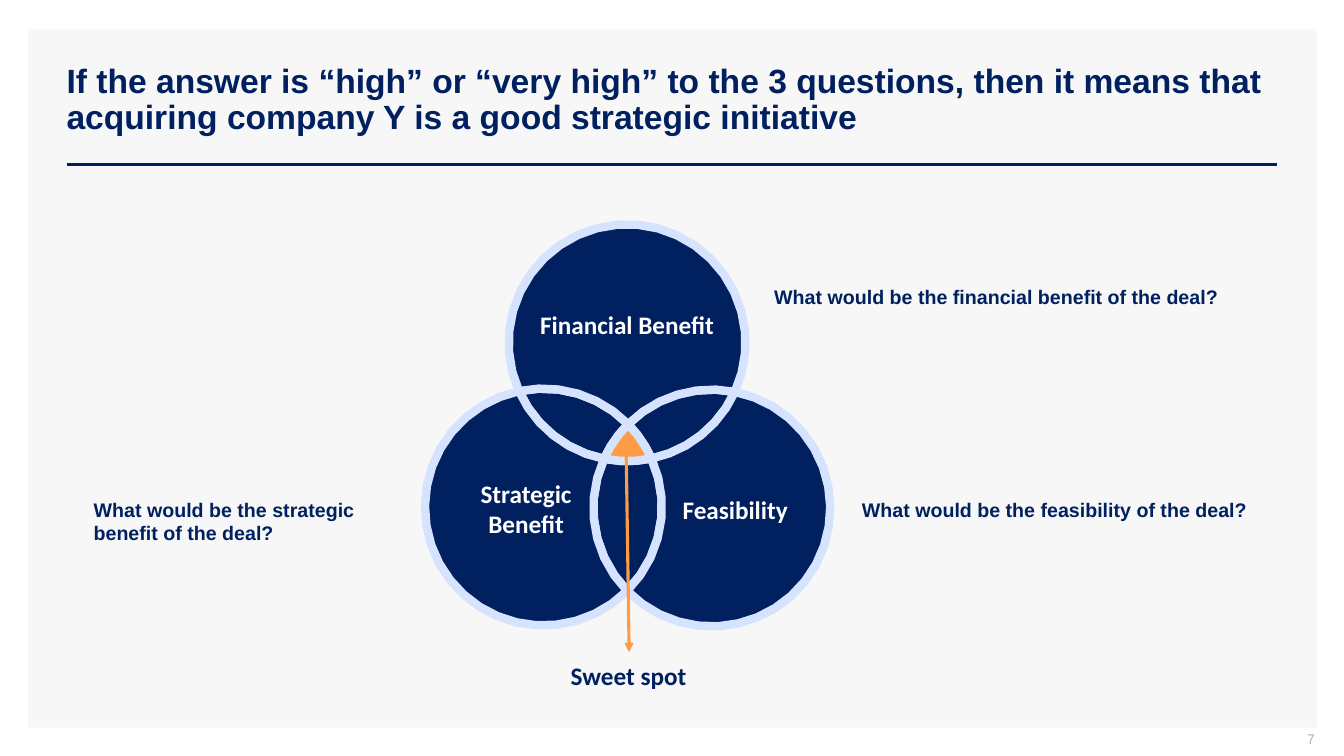
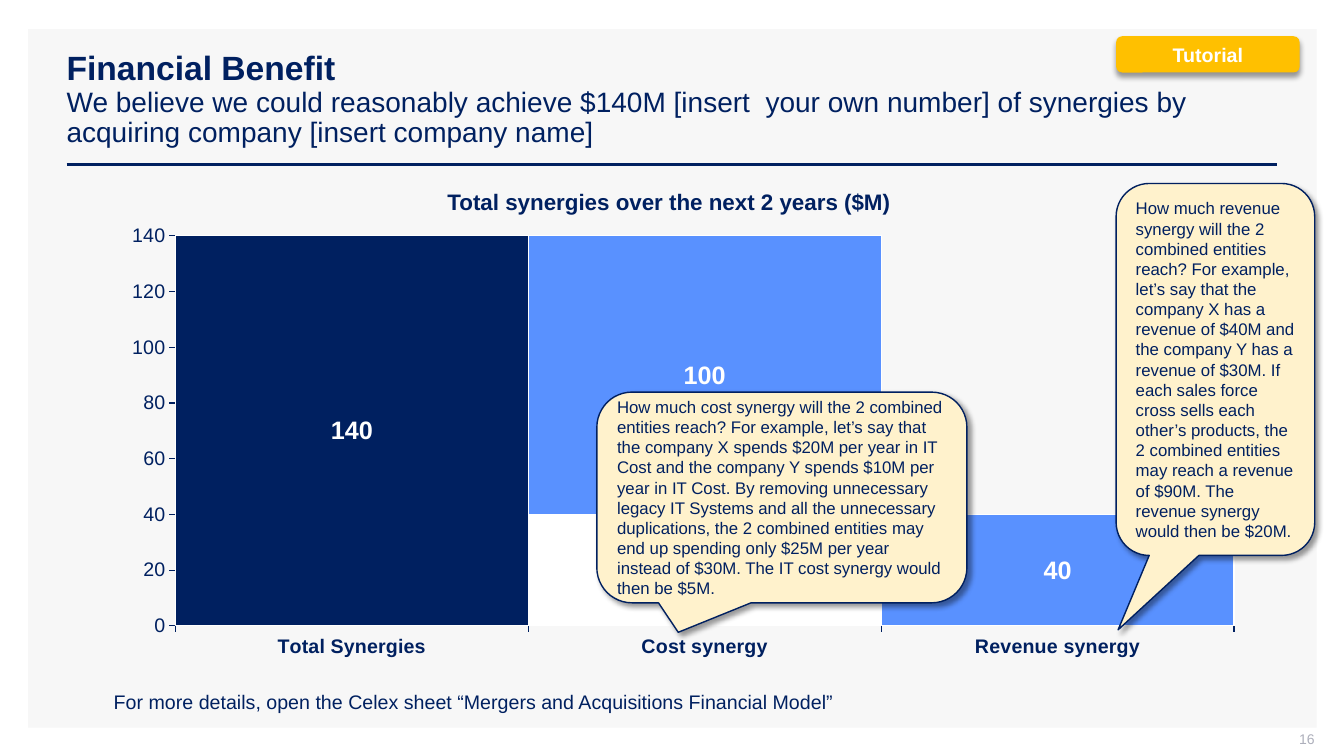
from itertools import count
from math import atan2, ceil, cos, hypot, pi, sin, sqrt

from lxml.etree import SubElement
from pptx import Presentation
from pptx.chart.data import CategoryChartData
from pptx.dml.color import RGBColor
from pptx.enum.chart import XL_CHART_TYPE as ChartType
from pptx.enum.chart import XL_LABEL_POSITION as LabelPos
from pptx.enum.chart import XL_TICK_MARK as Tick
from pptx.enum.shapes import MSO_CONNECTOR as Connector
from pptx.enum.shapes import MSO_SHAPE as Shape
from pptx.enum.text import MSO_ANCHOR as Anchor
from pptx.enum.text import MSO_AUTO_SIZE as AutoSize
from pptx.enum.text import PP_ALIGN as Align
from pptx.oxml.ns import qn
from pptx.util import Pt

PX = 9144  # EMU; 100 px to the inch
NAVY = RGBColor(0x00, 0x20, 0x60)
BLUE = RGBColor(0x59, 0x91, 0xFF)
PALE_BLUE = RGBColor(0xD6, 0xE3, 0xFF)
ORANGE = RGBColor(0xFF, 0x9B, 0x45)
AMBER = RGBColor(0xFF, 0xC0, 0x00)
CREAM = RGBColor(0xFF, 0xF2, 0xCC)
PANEL = RGBColor(0xF7, 0xF7, 0xF7)
EDGE = RGBColor(0xF2, 0xF2, 0xF2)
GREY = RGBColor(0xAD, 0xAF, 0xBB)
WHITE = RGBColor(0xFF, 0xFF, 0xFF)

# ---- Content: boxes are left, top, width, height in px ----
VENN_TITLE = [
    "If the answer is “high” or “very high” to the 3 questions, then it means "
    "that acquiring company Y is a good strategic initiative"
]
QUESTIONS = [
    ("What would be the financial benefit of the deal?", (758, 278, 468, 34)),
    ("What would be the feasibility of the deal?", (845, 489, 426, 34)),
    ("What would be the strategic benefit of the deal?", (83, 489, 331, 57)),
]
SWEET_SPOT = ("Sweet spot", (527, 655, 193, 31))
SWEET_ARROW = (621, 443, 624, 647)

DIAMETER = 235
CENTRES = {"financial": (622, 340), "strategic": (539, 503), "feasible": (706, 504)}
# Each region is a chain of arcs: circle, first corner, last corner, turn (1 clockwise)
REGIONS = [
    ([("strategic", "left", "top", 1), ("feasible", "top", "low left", -1),
      ("financial", "low left", "left", 1)], NAVY, EDGE, None),
    ([("feasible", "top", "right", 1), ("financial", "right", "low right", 1),
      ("strategic", "low right", "top", -1)], NAVY, EDGE, None),
    ([("strategic", "low right", "base", 1), ("feasible", "base", "low left", 1),
      ("financial", "low left", "low right", -1)], NAVY, EDGE, None),
    ([("financial", "left", "right", 1), ("feasible", "right", "top", -1),
      ("strategic", "top", "left", -1)], NAVY, PALE_BLUE,
     (["Financial Benefit"], Align.CENTER, 0)),
    ([("strategic", "base", "left", 1), ("financial", "left", "low left", -1),
      ("feasible", "low left", "base", -1)], NAVY, PALE_BLUE,
     (["Strategic", "Benefit"], Align.CENTER, 0)),
    ([("feasible", "right", "base", 1), ("strategic", "base", "low right", -1),
      ("financial", "low right", "right", -1)], NAVY, PALE_BLUE,
     (["Feasibility"], Align.LEFT, 55)),
    ([("strategic", "top", "low right", 1), ("financial", "low right", "low left", 1),
      ("feasible", "low left", "top", 1)], ORANGE, PALE_BLUE, None),
]

SYNERGY_TITLE = [
    "Financial Benefit",
    ("We believe we could reasonably achieve $140M [insert  your own number] of "
     "synergies by acquiring company [insert company name]", {"size": 20, "bold": False}),
]
CHART_TITLE = "Total synergies over the next 2 years ($M)"
CATEGORIES = ["Total Synergies", "Cost synergy", "Revenue synergy"]
SERIES = [
    ("Series 1", [0, 40, 0], WHITE, False),
    ("Series 2", [None, 100, 40], BLUE, True),
    ("Series 3", [140, None, None], NAVY, True),
]
CHART_BOX = (66, 212, 1201, 480)
PLOT_BOX = (108, 22, 1050, 387)  # inside the chart
DETAILS = "For more details, open the Celex sheet “Mergers and Acquisitions Financial Model”"
CALLOUTS = [
    ("How much revenue synergy will the 2 combined entities reach? For example, let’s "
     "say that the company X has a revenue of $40M and the company Y has a revenue of "
     "$30M. If each sales force cross sells each other’s products, the 2 combined "
     "entities may reach a revenue of $90M. The revenue synergy would then be $20M.",
     (1107, 182, 197, 369), (-0.49, 0.7)),
    ("How much cost synergy will the 2 combined entities reach? For example, let’s say "
     "that the company X spends $20M per year in IT Cost and the company Y spends $10M "
     "per year in IT Cost. By removing unnecessary legacy IT Systems and all the "
     "unnecessary duplications, the 2 combined entities may end up spending only $25M "
     "per year instead of $30M. The IT cost synergy would then be $5M.",
     (592, 389, 367, 209), (-0.28, 0.64)),
]


def emu(*lengths):
    return [round(length * PX) for length in lengths]


def write(shape, lines, size=14, color=NAVY, bold=False, font="Arial", align=Align.LEFT,
          anchor=Anchor.TOP, margins=(10, 5, 10, 5), spacing=None):
    """Fill a shape with paragraphs; a line may be (text, own size and bold)."""
    frame = shape.text_frame
    frame.word_wrap = True
    frame.auto_size = AutoSize.NONE
    frame.vertical_anchor = anchor
    (frame.margin_left, frame.margin_top,
     frame.margin_right, frame.margin_bottom) = emu(*margins)
    for i, line in enumerate(lines):
        text, own = (line, {}) if isinstance(line, str) else line
        paragraph = frame.paragraphs[0] if i == 0 else frame.add_paragraph()
        paragraph.alignment = align
        if spacing:
            paragraph.line_spacing = spacing
        run = paragraph.add_run()
        run.text = text
        run.font.name = font
        run.font.size = Pt(own.get("size", size))
        run.font.bold = own.get("bold", bold)
        run.font.color.rgb = color


def label(slide, text, box, **style):
    write(slide.shapes.add_textbox(*emu(*box)), [text], **style)


def paint(shape, fill, line=None, width=1):
    shape.shadow.inherit = False
    shape.fill.solid()
    shape.fill.fore_color.rgb = fill
    if line is None:
        shape.line.fill.background()
    else:
        shape.line.color.rgb = line
        shape.line.width = Pt(width)


def block(slide, kind, box, fill, line=None):
    shape = slide.shapes.add_shape(kind, *emu(*box))
    paint(shape, fill, line)
    return shape


def cast_shadow(shape, degrees):
    effects = shape.element.spPr.find(qn("a:effectLst"))
    shadow = SubElement(effects, qn("a:outerShdw"), blurRad=str(Pt(4)), dist=str(Pt(3)),
                        dir=str(degrees * 60000), algn="tl", rotWithShape="0")
    black = SubElement(shadow, qn("a:srgbClr"), val="000000")
    SubElement(black, qn("a:alpha"), val="40000")


def draw_line(slide, ends, color, width, arrow=False):
    line = slide.shapes.add_connector(Connector.STRAIGHT, *emu(*ends))
    line.line.color.rgb = color
    line.line.width = Pt(width)
    properties = line.element.spPr
    if arrow:
        SubElement(properties.find(qn("a:ln")), qn("a:tailEnd"), type="triangle")
    SubElement(properties, qn("a:effectLst"))
    return line


def furnish_layout(layout, slide):
    """Move the panel and the rule, drawn on a slide, to the shared layout."""
    panel = block(slide, Shape.RECTANGLE, (28, 29, 1278, 693), PANEL)
    rule = draw_line(slide, (66, 163, 1267, 163), NAVY, 2)
    for place, part in zip(count(2), (panel, rule)):
        layout.shapes.element.insert(place, part.element)


def start_slide(slide, title, number):
    heading = slide.shapes.title
    heading.left, heading.top, heading.width, heading.height = emu(56, 40, 1211, 119)
    write(heading, title, size=24, bold=True, anchor=Anchor.MIDDLE, spacing=0.9)
    label(slide, number, (1004, 725, 300, 21), size=10, color=GREY, align=Align.RIGHT,
          anchor=Anchor.MIDDLE, margins=(10, 0, 0, 5))


def crossings(first, second):
    """Return the outer and inner points where two of the circles meet."""
    (x1, y1), (x2, y2) = CENTRES[first], CENTRES[second]
    gap = hypot(x2 - x1, y2 - y1)
    reach = sqrt((DIAMETER / 2) ** 2 - (gap / 2) ** 2) / gap
    middle_x, middle_y = (x1 + x2) / 2, (y1 + y2) / 2
    return [(middle_x - side * reach * (y2 - y1), middle_y + side * reach * (x2 - x1))
            for side in (1, -1)]


def arc_points(circle, start, end, turn):
    """Return points at most 10 degrees apart, without the end point."""
    x, y = CENTRES[circle]
    first, last = (atan2(py - y, px - x) for px, py in (start, end))
    sweep = turn * ((turn * (last - first)) % (2 * pi))
    steps = ceil(abs(sweep) / (pi / 18))
    angles = [first + sweep * i / steps for i in range(steps)]
    return [(x + DIAMETER / 2 * cos(a), y + DIAMETER / 2 * sin(a)) for a in angles]


def draw_venn(slide):
    corners = {}
    corners["left"], corners["low right"] = crossings("financial", "strategic")
    corners["base"], corners["top"] = crossings("strategic", "feasible")
    corners["right"], corners["low left"] = crossings("feasible", "financial")
    for arcs, fill, line, caption in REGIONS:
        outline = [emu(*point) for circle, start, end, turn in arcs
                   for point in arc_points(circle, corners[start], corners[end], turn)]
        builder = slide.shapes.build_freeform(*outline[0])
        builder.add_line_segments(outline[1:], close=True)
        region = builder.convert_to_shape()
        paint(region, fill, line, 6)
        if caption:
            lines, align, indent = caption
            write(region, lines, size=18, color=WHITE, bold=True, font="Calibri",
                  align=align, anchor=Anchor.MIDDLE, margins=(indent, 5, 0, 5))


def draw_synergy_chart(slide):
    data = CategoryChartData()
    data.categories = CATEGORIES
    for name, values, *_ in SERIES:
        data.add_series(name, values)
    chart = slide.shapes.add_chart(ChartType.COLUMN_STACKED, *emu(*CHART_BOX), data).chart
    chart.has_legend = False
    chart.has_title = False
    chart.font.name, chart.font.size = "Arial", Pt(14)
    chart.font.color.rgb = NAVY
    plot = chart.plots[0]
    plot.vary_by_categories = False
    plot.gap_width, plot.overlap = 0, 100
    for series, (_, _, color, labelled) in zip(plot.series, SERIES):
        series.format.fill.solid()
        series.format.fill.fore_color.rgb = color
        series.format.line.color.rgb = WHITE
        series.format.line.width = Pt(0.75)
        if labelled:
            labels = series.data_labels
            labels.show_value = True
            labels.position = LabelPos.CENTER
            labels.font.size, labels.font.bold = Pt(18), True
            labels.font.color.rgb = WHITE
    for axis, bold in ((chart.category_axis, True), (chart.value_axis, False)):
        axis.has_major_gridlines = False
        axis.major_tick_mark, axis.minor_tick_mark = Tick.OUTSIDE, Tick.NONE
        axis.format.line.color.rgb = NAVY
        axis.format.line.width = Pt(0.75)
        axis.tick_labels.font.bold = bold
    scale = chart.value_axis
    scale.minimum_scale, scale.maximum_scale, scale.major_unit = 0, 140, 20

    area = chart.element.find(".//" + qn("c:plotArea"))
    layout = area.find(qn("c:layout"))
    if layout is None:
        layout = SubElement(area, qn("c:layout"))
        area.insert(0, layout)
    manual = SubElement(layout, qn("c:manualLayout"))
    SubElement(manual, qn("c:layoutTarget"), val="inner")
    for mode in ("xMode", "yMode"):
        SubElement(manual, qn("c:" + mode), val="edge")
    for key, length, whole in zip("xywh", PLOT_BOX, CHART_BOX[2:] * 2):
        SubElement(manual, qn("c:" + key), val=str(length / whole))


def build_venn_slide(slide):
    start_slide(slide, VENN_TITLE, "7")
    draw_venn(slide)
    draw_line(slide, SWEET_ARROW, ORANGE, 2.25, arrow=True)
    label(slide, *SWEET_SPOT, size=18, bold=True, font="Calibri", align=Align.CENTER,
          anchor=Anchor.MIDDLE, margins=(2, 0, 2, 0))
    for question, box in QUESTIONS:
        label(slide, question, box, bold=True)


def build_synergy_slide(slide):
    start_slide(slide, SYNERGY_TITLE, "16")
    draw_synergy_chart(slide)
    label(slide, CHART_TITLE, (63, 185, 1201, 27), size=16, bold=True,
          align=Align.CENTER, margins=(0, 0, 0, 0), spacing=1.06)
    label(slide, DETAILS, (103, 680, 776, 34))
    for text, box, pointer in CALLOUTS:
        callout = block(slide, Shape.ROUNDED_RECTANGULAR_CALLOUT, box, CREAM, NAVY)
        for i, value in enumerate(pointer):
            callout.adjustments[i] = value
        cast_shadow(callout, 45)
        write(callout, [text], size=12, anchor=Anchor.MIDDLE)
    tutorial = block(slide, Shape.ROUNDED_RECTANGLE, (1107, 36, 182, 36), AMBER)
    cast_shadow(tutorial, 90)
    write(tutorial, ["Tutorial"], color=WHITE, bold=True, align=Align.CENTER,
          anchor=Anchor.MIDDLE)


def main():
    deck = Presentation()
    deck.slide_width, deck.slide_height = emu(1333, 750)
    title_only = deck.slide_layouts[5]
    venn, synergy = (deck.slides.add_slide(title_only) for _ in range(2))
    furnish_layout(title_only, venn)
    build_venn_slide(venn)
    build_synergy_slide(synergy)
    deck.save("out.pptx")


if __name__ == "__main__":
    main()
